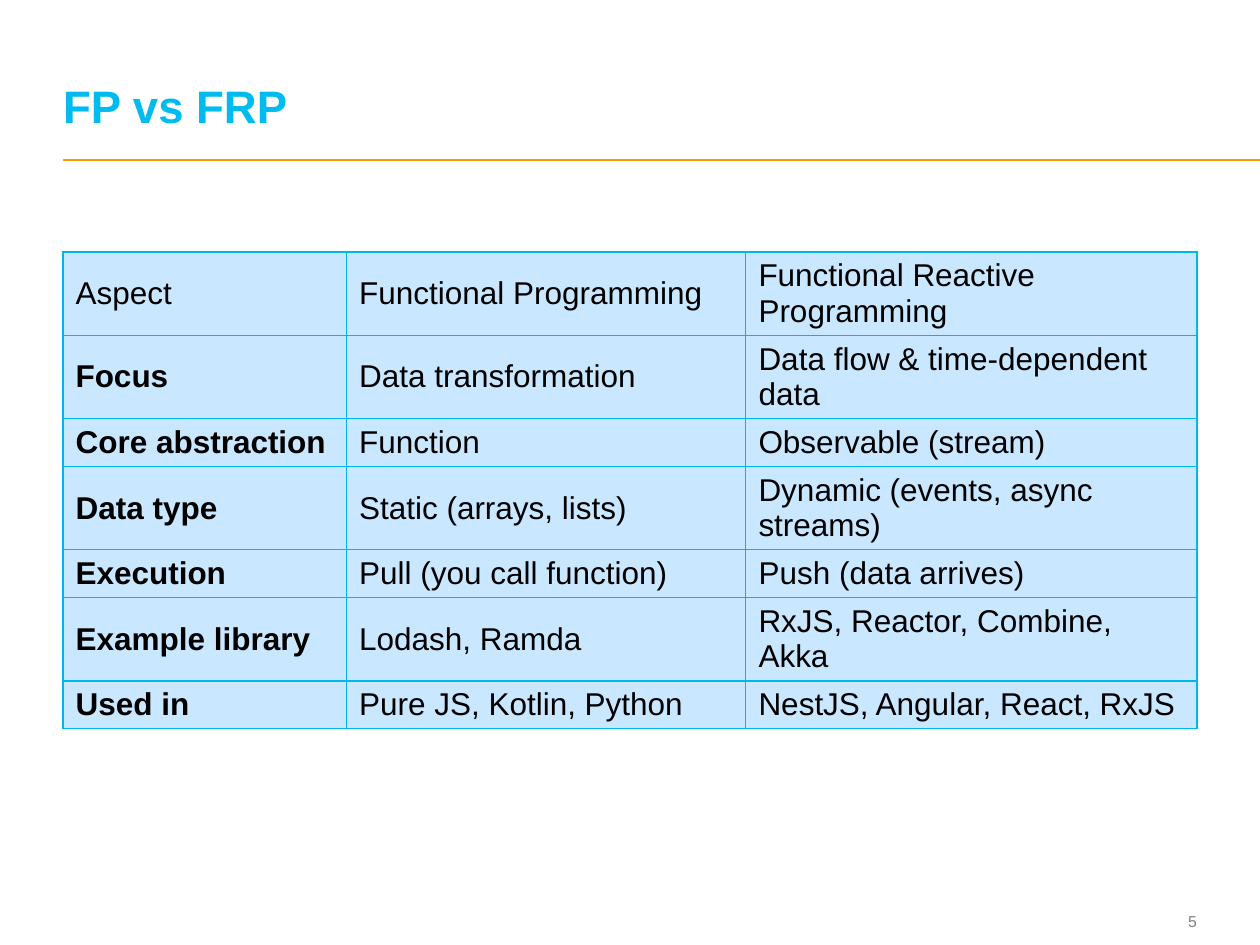
from lxml.etree import SubElement as Sub
from pptx import Presentation
from pptx.dml.color import RGBColor as Rgb
from pptx.enum.shapes import MSO_CONNECTOR as Conn
from pptx.enum.text import MSO_ANCHOR as Anchor, MSO_AUTO_SIZE as Fit, PP_ALIGN as Align
from pptx.oxml.ns import qn
from pptx.util import Pt

COLORS = {
    "title": "00BBEE",
    "rule": "FF9900",
    "edge": "00B7E9",
    "cell": "C9E8FF",
    "text": "000000",
    "page": "7F7F7F",
}
LEFT, WIDE, HIGH = 36, 720, 540
COLS = [162, 228.25, 257.75]
ONE, TWO = 27.4, 47.6  # heights of one-line and two-line rows

ROWS = [
    (TWO, "Aspect", "Functional Programming", "Functional Reactive Programming"),
    (TWO, "Focus", "Data transformation", "Data flow & time-dependent data"),
    (ONE, "Core abstraction", "Function", "Observable (stream)"),
    (TWO, "Data type", "Static (arrays, lists)", "Dynamic (events, async streams)"),
    (ONE, "Execution", "Pull (you call function)", "Push (data arrives)"),
    (TWO, "Example library", "Lodash, Ramda", "RxJS, Reactor, Combine, Akka"),
    (ONE, "Used in", "Pure JS, Kotlin, Python", "NestJS, Angular, React, RxJS"),
]


def color(name):
    return Rgb.from_string(COLORS[name])


def write(frame, text, size=18, ink="text", bold=False, align=Align.LEFT, lead=None):
    para = frame.paragraphs[0]
    para.alignment = align
    if lead:
        para.line_spacing = Pt(lead)
    run = para.add_run()
    run.text = text
    font = run.font
    font.name, font.size, font.bold = "Arial", Pt(size), bold
    font.color.rgb = color(ink)


class Deck:
    def __init__(self, slide, face="Arial"):
        self.slide = slide
        self.edge = 0.75

    def frame(self, shape, anchor):
        frame = shape.text_frame
        frame.word_wrap = True
        frame.auto_size = Fit.NONE
        frame.vertical_anchor = anchor
        frame.margin_left = frame.margin_right = 0
        frame.margin_top = frame.margin_bottom = 0
        return frame

    def title(self, text, x, y, w, h):
        shape = self.slide.shapes.title
        shape.left, shape.top, shape.width, shape.height = map(Pt, (x, y, w, h))
        write(self.frame(shape, Anchor.BOTTOM), text, size=26, ink="title",
              bold=True, lead=26)

    def label(self, text, x, y, w, h, **form):
        box = self.slide.shapes.add_textbox(*map(Pt, (x, y, w, h)))
        write(self.frame(box, Anchor.MIDDLE), text, **form)

    def rule(self, x, y, end):
        line = self.slide.shapes.add_connector(
            Conn.STRAIGHT, Pt(x), Pt(y), Pt(end), Pt(y))
        line.line.color.rgb = color("rule")
        line.line.width = Pt(1)
        Sub(line._element.spPr, qn("a:effectLst"))

    def border(self, cell):
        props = cell._tc.get_or_add_tcPr()
        for side in ("lnL", "lnR", "lnT", "lnB"):
            line = Sub(props, qn(f"a:{side}"), w=str(Pt(self.edge)))
            fill = Sub(line, qn("a:solidFill"))
            Sub(fill, qn("a:srgbClr"), val=COLORS["edge"])

    def table(self, rows, cols, x, y):
        high = sum(row[0] for row in rows)
        table = self.slide.shapes.add_table(
            len(rows), len(cols), Pt(x), Pt(y), Pt(sum(cols)), Pt(high)).table
        table.first_row = table.horz_banding = False
        for col, width in zip(table.columns, cols):
            col.width = Pt(width)
        for r, (height, *texts) in enumerate(rows):
            table.rows[r].height = Pt(height)
            for c, text in enumerate(texts):
                cell = table.cell(r, c)
                cell.vertical_anchor = Anchor.MIDDLE
                self.border(cell)
                cell.fill.solid()
                cell.fill.fore_color.rgb = color("cell")
                write(cell.text_frame, text, bold=r > 0 and c == 0)


def main():
    show = Presentation()
    show.slide_width, show.slide_height = Pt(WIDE), Pt(HIGH)
    deck = Deck(show.slides.add_slide(show.slide_layouts[5]))

    # Heading and rule
    deck.rule(LEFT, 91.4, WIDE)
    deck.title("FP vs FRP", LEFT, 13.7, 645.8, 61.9)

    # Comparison table
    deck.table(ROWS, COLS, LEFT, 144)

    # Page number
    deck.label("5", 641.5, 517, 42.5, 19.4, size=9, ink="page", align=Align.RIGHT)

    show.save("out.pptx")


if __name__ == "__main__":
    main()
